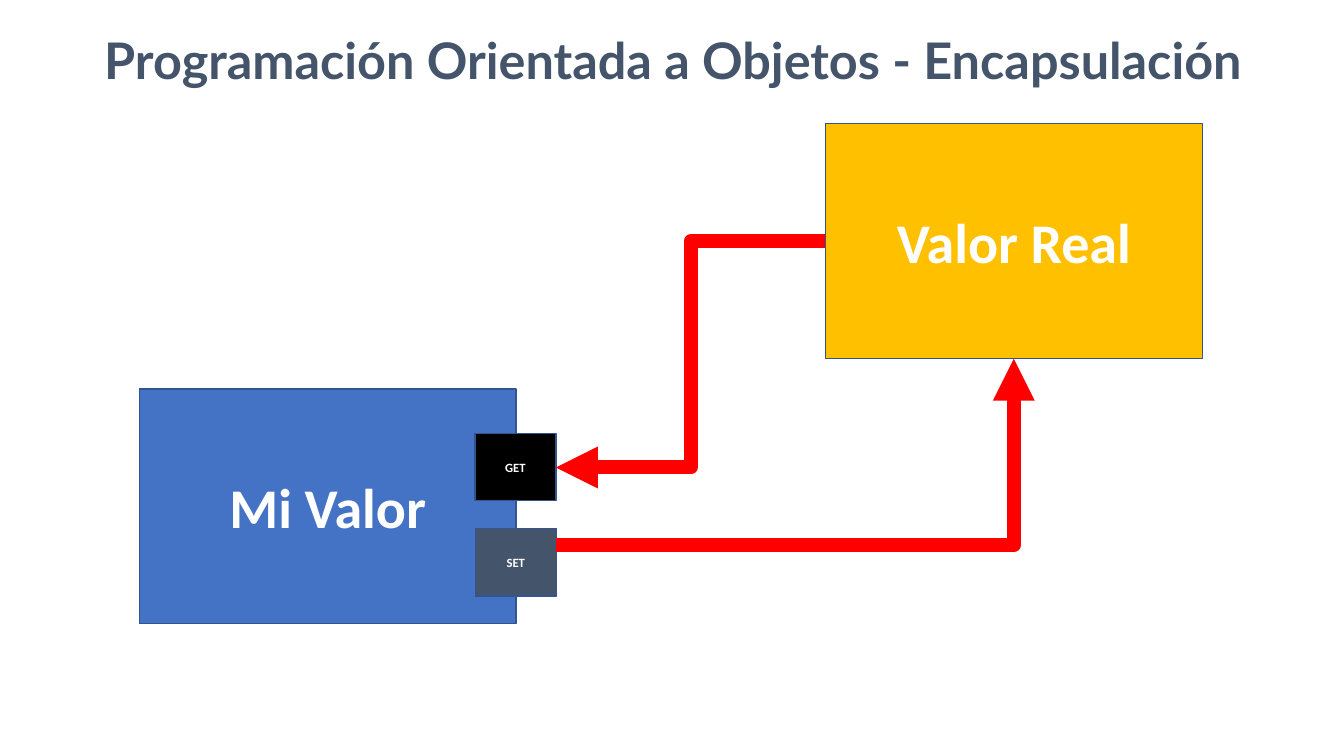
"""Builds a slide on encapsulation: a value reached through GET and SET."""
from pptx import Presentation
from pptx.dml.color import RGBColor
from pptx.enum import shapes, text
from pptx.oxml.ns import qn
from pptx.util import Cm, Pt
from lxml import etree

SLATE = RGBColor(0x44, 0x54, 0x6A)
BLUE = RGBColor(0x44, 0x72, 0xC4)
GOLD = RGBColor(0xFF, 0xC0, 0x00)
BLACK = RGBColor(0x00, 0x00, 0x00)
WHITE = RGBColor(0xFF, 0xFF, 0xFF)
BORDER = RGBColor(0x32, 0x54, 0x91)
RED = RGBColor(0xFF, 0x00, 0x00)

VALUE_SIZE = (9.5, 5.92)
ACCESSOR_SIZE = (2.04, 1.7)


def write(sp, content, font, size, color):
    """Put one centred bold paragraph in a shape."""
    tf = sp.text_frame
    tf.text = content
    tf.word_wrap = True
    tf.auto_size = text.MSO_AUTO_SIZE.NONE
    tf.vertical_anchor = text.MSO_ANCHOR.MIDDLE
    p = tf.paragraphs[0]
    p.alignment = text.PP_ALIGN.CENTER
    p.line_spacing = 1.0
    p.font.name, p.font.size, p.font.bold = font, Pt(size), True
    p.font.color.rgb = color


def add_title(s, content):
    """Place and fill the title placeholder."""
    sp = s.shapes.title
    sp.left, sp.top, sp.width, sp.height = Cm(0.33), Cm(0.66), Cm(33.27), Cm(1.68)
    write(sp, content, "Lato", 36, SLATE)
    tf = sp.text_frame
    tf.margin_left = tf.margin_right = Cm(0.13)
    tf.margin_top = tf.margin_bottom = Cm(0.06)


def add_box(s, left, top, box_size, label, font_size, fill):
    """Add a bordered rectangle with a white label."""
    width, height = box_size
    sp = s.shapes.add_shape(shapes.MSO_SHAPE.RECTANGLE,
                            Cm(left), Cm(top), Cm(width), Cm(height))
    sp.shadow.inherit = False
    sp.fill.solid()
    sp.fill.fore_color.rgb = fill
    sp.line.color.rgb = BORDER
    sp.line.width = Pt(1)
    write(sp, label, "Calibri", font_size, WHITE)


def add_arrow(s, start, end, preset):
    """Add a thick red bent arrow of the given connector preset."""
    points = [Cm(v) for v in (*start, *end)]
    cx = s.shapes.add_connector(shapes.MSO_CONNECTOR.ELBOW, *points)
    cx.line.color.rgb = RED
    cx.line.width = Pt(10)
    sp_pr = cx._element.spPr
    sp_pr.find(qn("a:prstGeom")).set("prst", preset)
    etree.SubElement(sp_pr.find(qn("a:ln")), qn("a:tailEnd"), type="triangle")
    etree.SubElement(sp_pr, qn("a:effectLst"))


def main():
    """Build and save the slide."""
    prs = Presentation()
    prs.slide_width, prs.slide_height = Cm(33.87), Cm(19.05)
    s = prs.slides.add_slide(prs.slide_layouts[5])
    add_title(s, "Programación Orientada a Objetos - Encapsulación")
    add_box(s, 3.51, 9.8, VALUE_SIZE, "Mi Valor", 40, BLUE)
    add_box(s, 20.8, 3.12, VALUE_SIZE, "Valor Real", 40, GOLD)
    add_box(s, 11.97, 10.92, ACCESSOR_SIZE, "GET", 9, BLACK)
    add_box(s, 11.98, 13.32, ACCESSOR_SIZE, "SET", 9, SLATE)
    add_arrow(s, (20.8, 6.08), (14.01, 11.78), "bentConnector3")
    add_arrow(s, (14.02, 13.74), (25.55, 9.04), "bentConnector2")
    prs.save("out.pptx")


if __name__ == "__main__":
    main()
